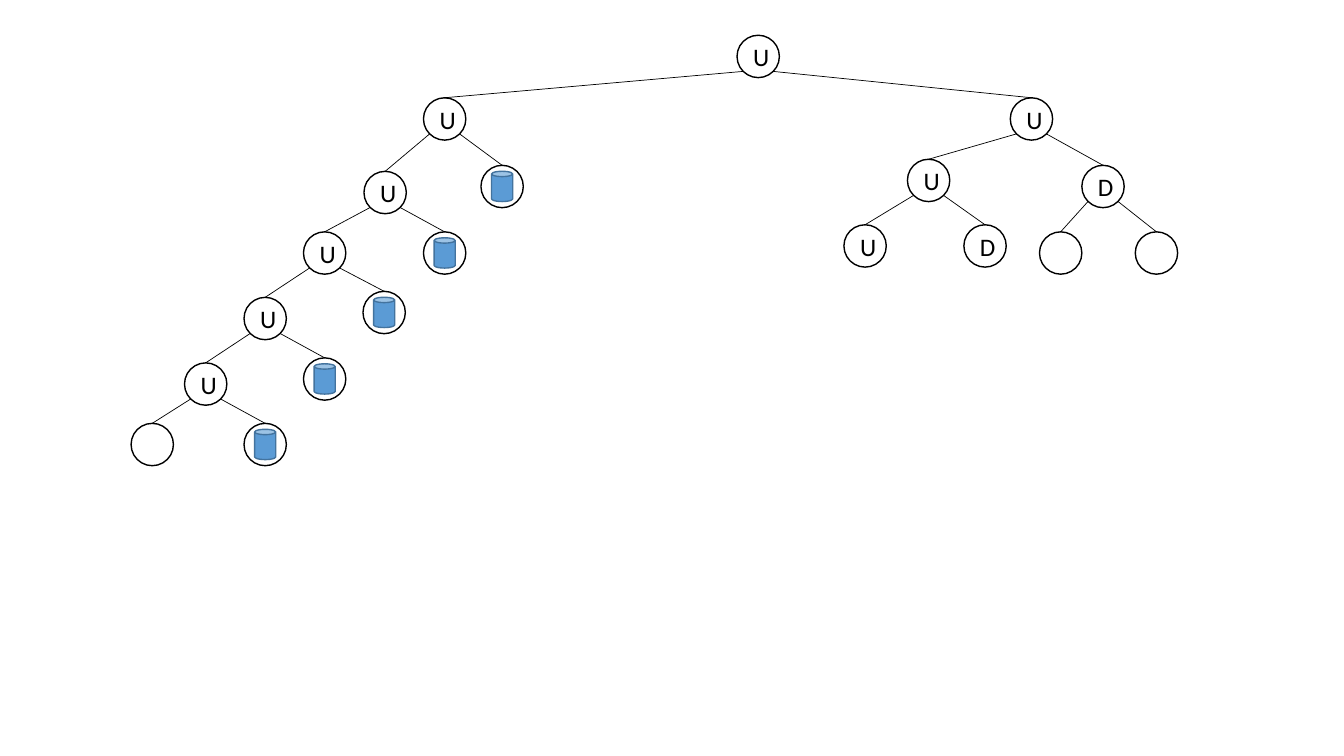
import math
from dataclasses import dataclass

from lxml import etree
from pptx import Presentation
from pptx.dml.color import RGBColor
from pptx.enum import shapes, text
from pptx.oxml.ns import qn
from pptx.util import Inches, Pt

DISK = "disk"
LEFT, RIGHT = -1, 1

NODES = [
    ("root", None, None, 7.31, 0.35, "U"),
    ("left 1", "root", LEFT, 4.2, 0.97, "U"),
    ("disk 1", "left 1", RIGHT, 4.77, 1.64, DISK),
    ("left 2", "left 1", LEFT, 3.61, 1.7, "U"),
    ("disk 2", "left 2", RIGHT, 4.2, 2.3, DISK),
    ("left 3", "left 2", LEFT, 3.01, 2.3, "U"),
    ("disk 3", "left 3", RIGHT, 3.6, 2.89, DISK),
    ("left 4", "left 3", LEFT, 2.42, 2.95, "U"),
    ("disk 4", "left 4", RIGHT, 3.01, 3.55, DISK),
    ("left 5", "left 4", LEFT, 1.83, 3.6, "U"),
    ("disk 5", "left 5", RIGHT, 2.42, 4.2, DISK),
    ("left 6", "left 5", LEFT, 1.3, 4.2, ""),
    ("right", "root", RIGHT, 10.02, 0.97, "U"),
    ("right U", "right", LEFT, 9, 1.58, "U"),
    ("right UU", "right U", LEFT, 8.37, 2.23, "U"),
    ("right UD", "right U", RIGHT, 9.56, 2.23, "D"),
    ("right D", "right", RIGHT, 10.73, 1.64, "D"),
    ("right DL", "right D", LEFT, 10.31, 2.3, ""),
    ("right DR", "right D", RIGHT, 11.26, 2.3, ""),
]

NODE_SIZE = 0.42
DISK_WIDTH, DISK_HEIGHT = 0.21, 0.3


@dataclass(frozen=True)
class Theme:
    font: str = "Calibri"
    size: int = 18
    ink: str = "000000"
    node_fill: str = "FFFFFF"
    disk_fill: str = "5B9BD5"
    disk_line: str = "43739E"
    outline: float = 1
    edge: float = 0.5


THEME = Theme()


def add_filled(slide, kind, left, top, width, height, fill, line):
    sp = slide.shapes.add_shape(
        kind, Inches(left), Inches(top), Inches(width), Inches(height)
    )
    sp.shadow.inherit = False
    sp.fill.solid()
    sp.fill.fore_color.rgb = RGBColor.from_string(fill)
    sp.line.color.rgb = RGBColor.from_string(line)
    sp.line.width = Pt(THEME.outline)
    return sp


def add_node(slide, left, top, label):
    sp = add_filled(slide, shapes.MSO_SHAPE.OVAL, left, top,
                    NODE_SIZE, NODE_SIZE, THEME.node_fill, THEME.ink)
    if label == DISK:
        add_filled(slide, shapes.MSO_SHAPE.CAN,
                   left + (NODE_SIZE - DISK_WIDTH) / 2,
                   top + (NODE_SIZE - DISK_HEIGHT) / 2,
                   DISK_WIDTH, DISK_HEIGHT, THEME.disk_fill, THEME.disk_line)
    elif label:
        tf = sp.text_frame
        tf.vertical_anchor = text.MSO_ANCHOR.MIDDLE
        p = tf.paragraphs[0]
        p.text = label
        p.alignment = text.PP_ALIGN.CENTER
        p.font.name = THEME.font
        p.font.size = Pt(THEME.size)
        p.font.color.rgb = RGBColor.from_string(THEME.ink)
    return sp


def add_edge(slide, parent, child, side):
    radius = parent.width / 2
    reach = radius * math.sqrt(0.5)
    x = int(parent.left + radius + side * reach)
    y = int(parent.top + radius + reach)
    line = slide.shapes.add_connector(
        shapes.MSO_CONNECTOR.STRAIGHT, x, y, child.left, child.top
    )
    line.end_connect(child, 0)
    line.line.color.rgb = RGBColor.from_string(THEME.ink)
    line.line.width = Pt(THEME.edge)
    etree.SubElement(line._element.spPr, qn("a:effectLst"))


def main():
    prs = Presentation()
    prs.slide_width, prs.slide_height = Inches(13.33), Inches(7.5)
    slide = prs.slides.add_slide(prs.slide_layouts[6])
    placed = {}
    for name, parent, side, left, top, label in NODES:
        placed[name] = add_node(slide, left, top, label)
        if parent:
            add_edge(slide, placed[parent], placed[name], side)
    prs.save("out.pptx")


if __name__ == "__main__":
    main()
